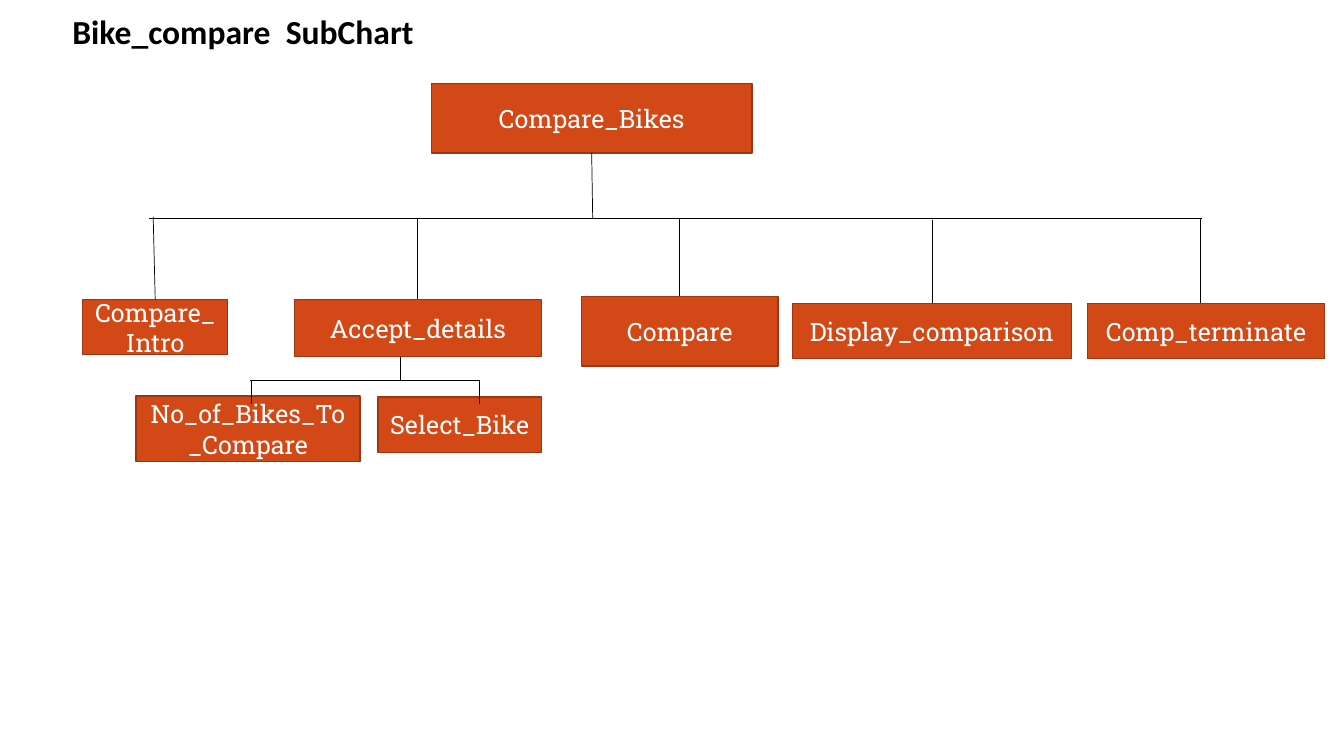
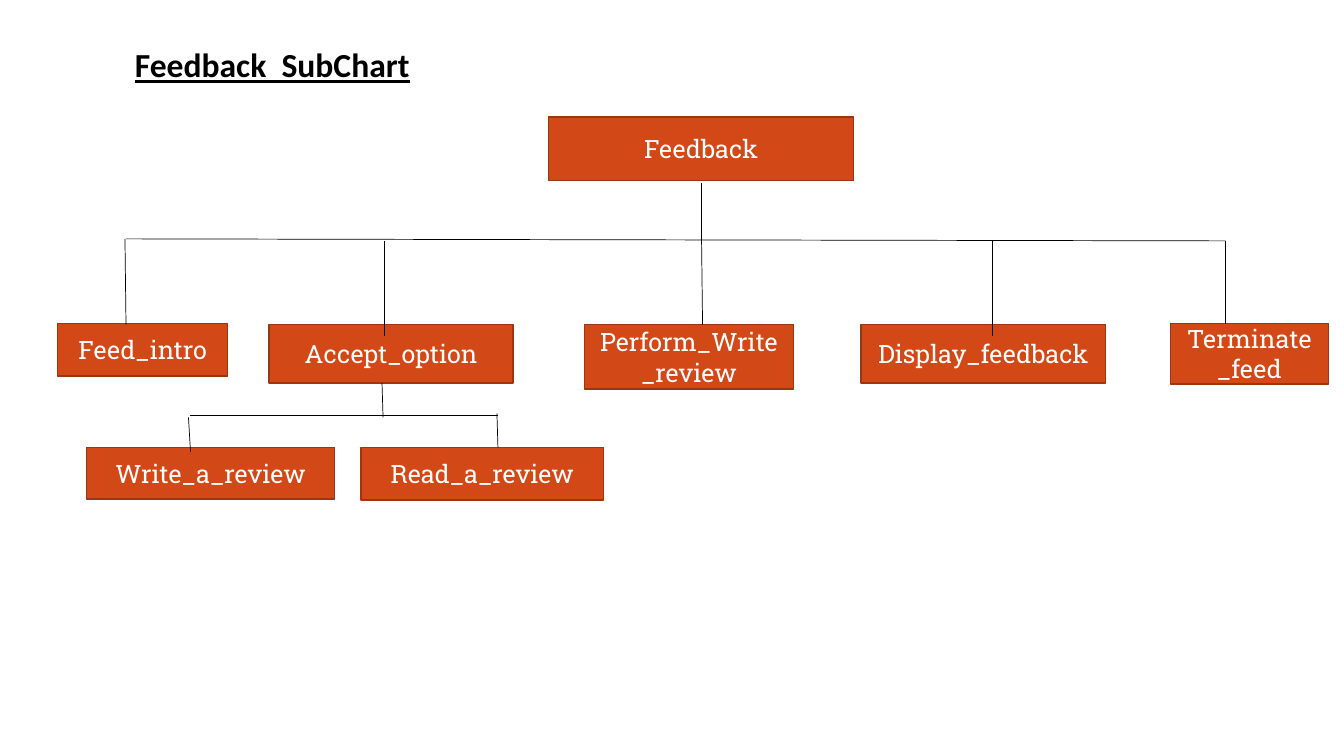
from dataclasses import dataclass
from typing import NamedTuple

from lxml import etree
from pptx import Presentation
from pptx import util as u
from pptx.dml.color import RGBColor
from pptx.enum import shapes, text
from pptx.oxml.ns import qn


@dataclass(frozen=True)
class Theme:
    fill: str = "D34817"
    edge: str = "9C3511"
    ink: str = "000000"
    paper: str = "FFFFFF"
    head: str = "Calibri"
    body: str = "Roboto Slab"
    big: int = 24
    mid: int = 18
    rim: float = 1
    wire: float = 0.5


class Box(NamedTuple):
    label: str
    x: float
    y: float
    w: float
    h: float


class Drop(NamedTuple):
    """A line down from top to foot, shifted sideways by lean."""
    x: float
    top: float
    foot: float
    lean: float = 0


class Fork(NamedTuple):
    """A bar from left to right, falling by tilt, and the drops that meet it."""
    left: float
    right: float
    y: float
    drops: tuple[Drop, ...]
    tilt: float = 0


class Chart(NamedTuple):
    title: Box
    under: bool
    boxes: tuple[Box, ...]
    forks: tuple[Fork, ...]


THEME = Theme()
# The slide is a grid of square cells, ten to the inch.
COLS, ROWS = 133.33, 75
CELL = u.Inches(0.1)

CHARTS = (
    Chart(
        Box("Bike_compare  SubChart", 6.2, 0.6, 51, 5), False,
        (
            Box("Compare_Bikes", 42.8, 8.3, 31.8, 6.9),
            Box("Compare_Intro", 8.2, 29.7, 14.4, 5.5),
            Box("Accept_details", 29.2, 29.7, 24.5, 5.7),
            Box("Compare", 57.7, 29.4, 19.5, 6.9),
            Box("Display_comparison", 78.6, 30.1, 27.7, 5.5),
            Box("Comp_terminate", 107.9, 30.1, 23.5, 5.5),
            Box("No_of_Bikes_To_Compare", 13.5, 39.3, 22.2, 6.5),
            Box("Select_Bike", 37.5, 39.4, 16.2, 5.5),
        ),
        (
            Fork(14.8, 119.2, 21.7, (
                Drop(58.7, 15.2, 21.7, 0.1),
                Drop(15.2, 21.5, 29.7, 0.2),
                Drop(41.4, 21.7, 29.7),
                Drop(67.4, 21.7, 29.4),
                Drop(92.5, 21.8, 30.1),
                Drop(119.1, 21.7, 30.1),
            )),
            Fork(24.8, 47.6, 37.7, (
                Drop(39.7, 35.4, 37.7),
                Drop(24.9, 37.7, 40.1),
                Drop(47.6, 37.7, 40.1),
            )),
        ),
    ),
    Chart(
        Box("Feedback  SubChart", 12.4, 3.9, 40.4, 5), True,
        (
            Box("Feedback", 54.4, 11.6, 30.3, 6.3),
            Box("Feed_intro", 5.7, 32.1, 16.9, 5.2),
            Box("Accept_option", 26.7, 32.2, 24.2, 5.8),
            Box("Perform_Write_review", 58, 32.2, 20.7, 6.4),
            Box("Display_feedback", 85.4, 32.2, 24.3, 5.8),
            Box("Terminate_feed", 116.1, 32.1, 15.7, 6),
            Box("Write_a_review", 8.6, 44.4, 24.6, 5.1),
            Box("Read_a_review", 35.8, 44.4, 24.1, 5.2),
        ),
        (
            Fork(12.5, 121.6, 23.7, (
                Drop(69.6, 18.2, 23.9),
                Drop(12.4, 23.7, 32.2, 0.1),
                Drop(38.1, 23.9, 33.3),
                Drop(69.6, 23.9, 32.2, 0.1),
                Drop(98.4, 23.9, 33.3),
                Drop(121.6, 23.9, 32.1),
            ), tilt=0.2),
            Fork(18.9, 49.4, 41.2, (
                Drop(37.9, 38, 41.4, 0.1),
                Drop(18.7, 41.4, 44.8, 0.2),
                Drop(49.3, 41, 44.4, 0.1),
            )),
        ),
    ),
)


def grid(*cells: float) -> list[int]:
    """Grid lengths as slide units."""
    return [round(n * CELL) for n in cells]


def rgb(code: str) -> RGBColor:
    return RGBColor.from_string(code)


def write(frame, words: str, *, face: str, size: float, tint: str,
          bold: bool = False, under: bool = False,
          align=text.PP_ALIGN.LEFT, hold=text.MSO_ANCHOR.TOP) -> None:
    frame.word_wrap = True
    frame.vertical_anchor = hold
    par = frame.paragraphs[0]
    par.alignment = align
    run = par.add_run()
    run.text = words
    font = run.font
    font.name, font.size = face, u.Pt(size)
    font.bold, font.underline = bold, under
    font.color.rgb = rgb(tint)


def draw_box(slide, box: Box) -> None:
    rect = slide.shapes.add_shape(shapes.MSO_SHAPE.RECTANGLE, *grid(*box[1:]))
    rect.shadow.inherit = False
    rect.fill.solid()
    rect.fill.fore_color.rgb = rgb(THEME.fill)
    rect.line.color.rgb = rgb(THEME.edge)
    rect.line.width = u.Pt(THEME.rim)
    write(rect.text_frame, box.label, face=THEME.body, size=THEME.mid,
          tint=THEME.paper, align=text.PP_ALIGN.CENTER,
          hold=text.MSO_ANCHOR.MIDDLE)


def draw_line(slide, x1: float, y1: float, x2: float, y2: float) -> None:
    line = slide.shapes.add_connector(shapes.MSO_CONNECTOR.STRAIGHT,
                                      *grid(x1, y1, x2, y2))
    line.line.color.rgb = rgb(THEME.ink)
    line.line.width = u.Pt(THEME.wire)
    etree.SubElement(line._element.spPr, qn("a:effectLst"))


def draw_fork(slide, fork: Fork) -> None:
    draw_line(slide, fork.left, fork.y, fork.right, fork.y + fork.tilt)
    for drop in fork.drops:
        draw_line(slide, drop.x, drop.top, drop.x + drop.lean, drop.foot)


def draw_chart(slide, chart: Chart) -> None:
    slide.background.fill.solid()
    slide.background.fill.fore_color.rgb = rgb(THEME.paper)
    head = slide.shapes.add_textbox(*grid(*chart.title[1:]))
    write(head.text_frame, chart.title.label, face=THEME.head, size=THEME.big,
          tint=THEME.ink, bold=True, under=chart.under)
    for box in chart.boxes:
        draw_box(slide, box)
    for fork in chart.forks:
        draw_fork(slide, fork)


def main() -> None:
    deck = Presentation()
    deck.slide_width, deck.slide_height = grid(COLS, ROWS)
    blank = deck.slide_layouts[6]
    for chart in CHARTS:
        draw_chart(deck.slides.add_slide(blank), chart)
    deck.save("out.pptx")


if __name__ == "__main__":
    main()
